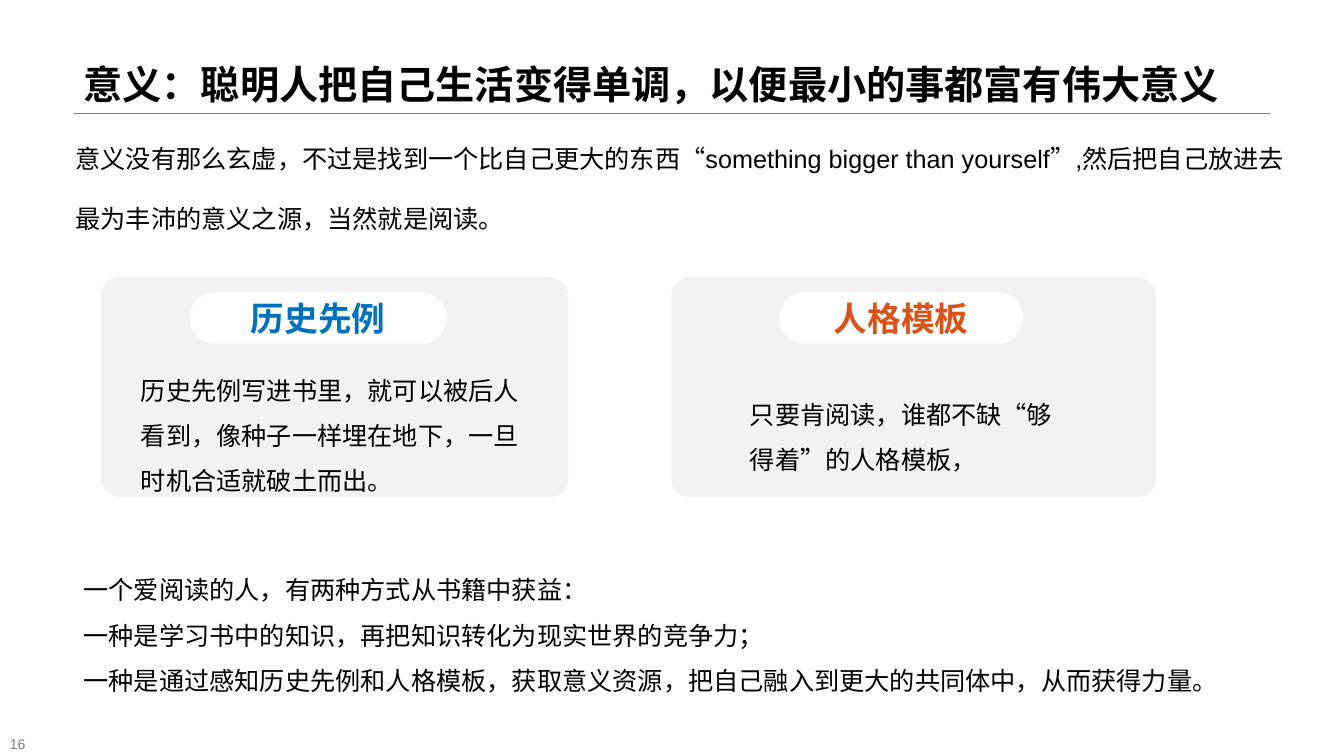
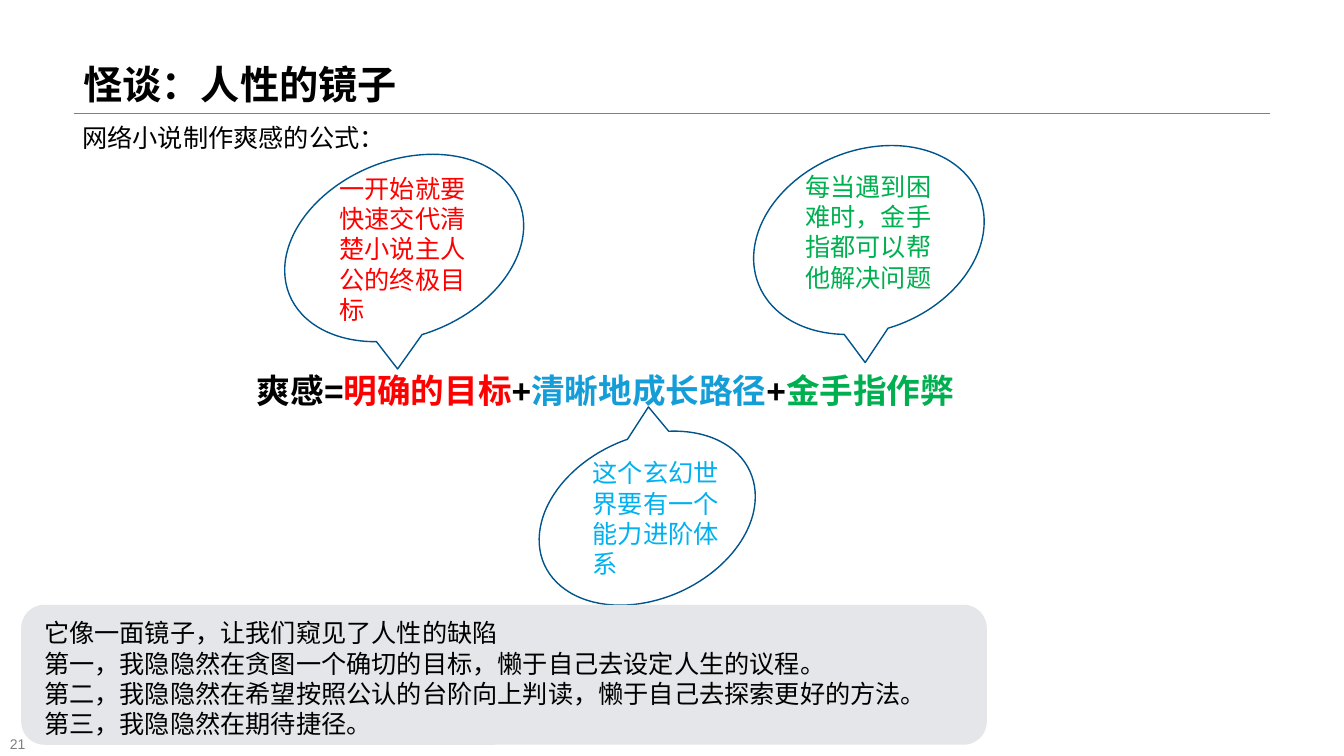
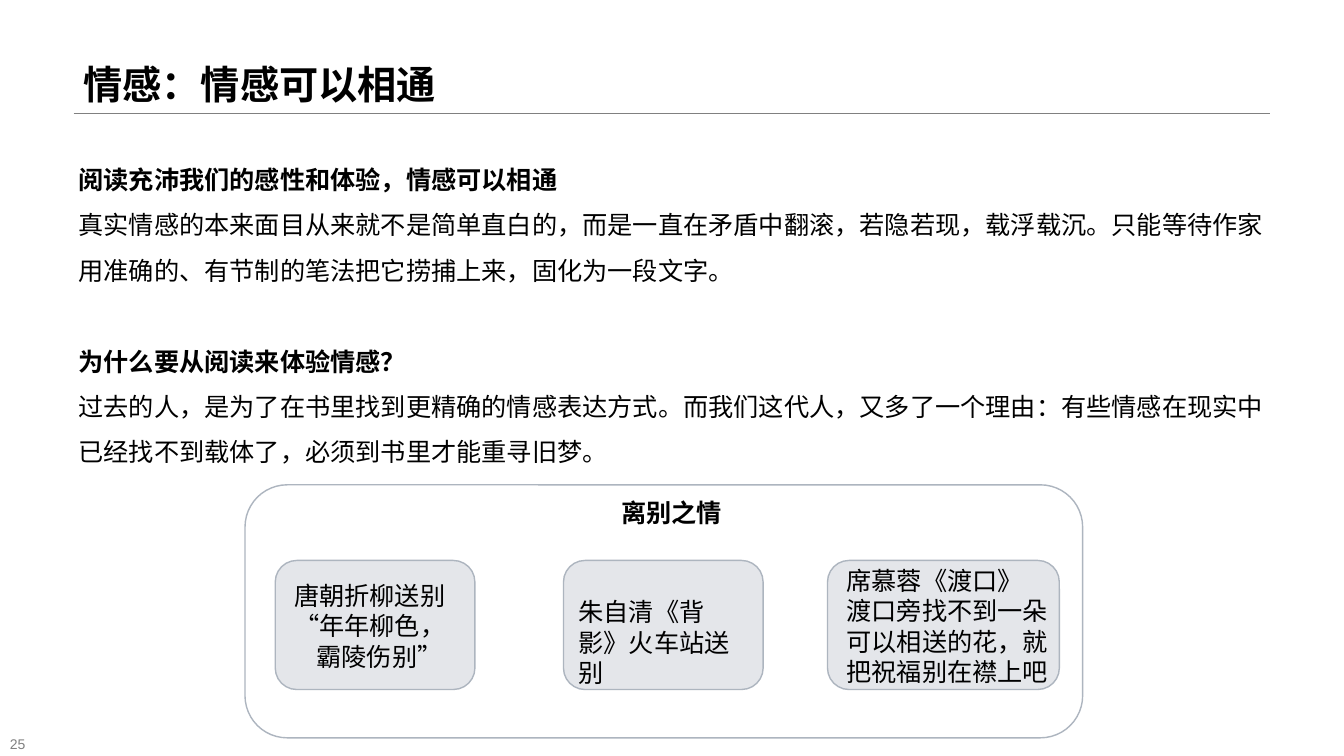
from dataclasses import dataclass
from pptx import Presentation
from pptx.dml.color import RGBColor
from pptx.enum.lang import MSO_LANGUAGE_ID
from pptx.enum.shapes import MSO_CONNECTOR, MSO_SHAPE
from pptx.enum.text import MSO_ANCHOR, PP_ALIGN
from pptx.util import Pt
from lxml import etree

ROUND = MSO_SHAPE.ROUNDED_RECTANGLE
CALLOUT = MSO_SHAPE.OVAL_CALLOUT
STRAIGHT = MSO_CONNECTOR.STRAIGHT
TOP, MIDDLE, BOTTOM = MSO_ANCHOR.TOP, MSO_ANCHOR.MIDDLE, MSO_ANCHOR.BOTTOM
LEFT, CENTER = PP_ALIGN.LEFT, PP_ALIGN.CENTER
CHINESE = MSO_LANGUAGE_ID.SIMPLIFIED_CHINESE
A = "http://schemas.openxmlformats.org/drawingml/2006/main"
FONT = "Arial"
C = {
    "black": "000000", "white": "FFFFFF", "gray": "808080", "card": "F2F2F2",
    "panel": "E4E6EA", "edge": "ADB5BF", "navy": "00548C", "blue": "0072BD",
    "orange": "D95319", "red": "FF0000", "path": "159DD8", "sky": "00B0F0",
    "green": "00B050",
}


@dataclass
class Para:
    runs: list
    bold: bool = False
    before: float = 0
    indent: float = 0


def plain(*lines):
    return [Para([(line, "black")]) for line in lines]


MEANING = {
    "title": "意义：聪明人把自己生活变得单调，以便最小的事都富有伟大意义",
    "number": "16",
    "intro": [
        Para([("意义没有那么玄虚，不过是找到一个比自己更大的东西“something bigger than yourself”,然后把自己放进去", "black")]),
        Para([("最为丰沛的意义之源，当然就是阅读。", "black")], before=21.5),
    ],
    "cards": [
        ("历史先例", "blue", (72, 334), (135.4, 183.6), (93.6, 253.4, 296.6, 101.5),
         "历史先例写进书里，就可以被后人看到，像种子一样埋在地下，一旦时机合适就破土而出。"),
        ("人格模板", "orange", (479.5, 346.3), (556.6, 174.2), (528.5, 270.7, 231, 69),
         "只要肯阅读，谁都不缺“够得着”的人格模板，"),
    ],
    "outro": plain(
        "一个爱阅读的人，有两种方式从书籍中获益：",
        "一种是学习书中的知识，再把知识转化为现实世界的竞争力；",
        "一种是通过感知历史先例和人格模板，获取意义资源，把自己融入到更大的共同体中，从而获得力量。"),
}
MIRROR = {
    "title": "怪谈：人性的镜子",
    "number": "21",
    "lead": plain("网络小说制作爽感的公式："),
    "formula": [Para([("爽感=", "black"), ("明确的目标", "red"), ("+", "black"),
                      ("清晰地成长路径", "path"), ("+", "black"), ("金手指作弊", "green")], True)],
    "callouts": [
        ("一开始就要快速交代清楚小说主人公的终极目标", "red",
         (200.2, 114.5, 177.1, 125.3), 337.9, (235.4, 120.2)),
        ("这个玄幻世界要有一个能力进阶体系", "sky",
         (381.6, 312.5, 161.3, 115.2), 155.6, (416.2, 323.3)),
        ("每当遇到困难时，金手指都可以帮他解决问题", "green",
         (535.7, 107.3, 169.9, 128.2), 337.9, (568.1, 118.8)),
    ],
    "flaws": plain(
        "它像一面镜子，让我们窥见了人性的缺陷",
        "第一，我隐隐然在贪图一个确切的目标，懒于自己去设定人生的议程。",
        "第二，我隐隐然在希望按照公认的台阶向上判读，懒于自己去探索更好的方法。",
        "第三，我隐隐然在期待捷径。"),
}
EMOTION = {
    "title": "情感：情感可以相通",
    "number": "25",
    "body": [
        Para([("阅读充沛我们的感性和体验，情感可以相通", "black")], True),
        Para([("真实情感的本来面目从来就不是简单直白的，而是一直在矛盾中翻滚，若隐若现，载浮载沉。只能等待作家用准确的、有节制的笔法把它捞捕上来，固化为一段文字。", "black")]),
        Para([("为什么要从阅读来体验情感？", "black")], True, before=32.5),
        Para([("过去的人，是为了在书里找到更精确的情感表达方式。而我们这代人，又多了一个理由：有些情感在现实中已经找不到载体了，必须到书里才能重寻旧梦。", "black")]),
    ],
    "heading": [Para([("离别之情", "black")], True)],
    "examples": [
        ((196.6, 142.6), (203, 411.1, 127),
         plain("唐朝折柳送别", "“年年柳色，") + [Para([("霸陵伤别”", "black")], indent=16)]),
        ((402.5, 142.6), (406.1, 422.6, 135.4), plain("朱自清《背影》火车站送别")),
        ((591.1, 165.6), (597.6, 400.3, 165.6),
         plain("席慕蓉《渡口》", "渡口旁找不到一朵可以相送的花，就把祝福别在襟上吧")),
    ],
}


def rgb(name):
    return RGBColor.from_string(C[name])


def write(sp, paras, size=18, align=LEFT, anchor=TOP, spacing=None):
    tf = sp.text_frame
    tf.word_wrap = True
    tf.vertical_anchor = anchor
    for i, para in enumerate(paras):
        p = tf.add_paragraph() if i else tf.paragraphs[0]
        p.alignment = align
        if spacing:
            p.line_spacing = spacing
        if para.before:
            p.space_before = Pt(para.before)
        if para.indent:
            p._p.get_or_add_pPr().set("marL", str(Pt(para.indent)))
        for words, color in para.runs:
            r = p.add_run()
            r.text = words
            r.font.name = FONT
            r.font.size = Pt(size)
            r.font.bold = para.bold
            r.font.color.rgb = rgb(color)
            r.font.language_id = CHINESE


def add_text(s, box, paras, **style):
    write(s.shapes.add_textbox(*map(Pt, box)), paras, **style)


def add_box(s, kind, box, fill=None, line=None, radius=None):
    sp = s.shapes.add_shape(kind, *map(Pt, box))
    sp.shadow.inherit = False
    if fill:
        sp.fill.solid()
        sp.fill.fore_color.rgb = rgb(fill)
    else:
        sp.fill.background()
    if line:
        sp.line.color.rgb = rgb(line)
        sp.line.width = Pt(1)
    else:
        sp.line.fill.background()
    if radius is not None:
        sp.adjustments[0] = radius
    return sp


def new_slide(prs, content):
    s = prs.slides.add_slide(prs.slide_layouts[6])
    rule = s.shapes.add_connector(STRAIGHT, Pt(52.6), Pt(80.8), Pt(907.2), Pt(80.8))
    rule.line.color.rgb = rgb("gray")
    rule.line.width = Pt(0.25)
    etree.SubElement(rule._element.spPr, f"{{{A}}}effectLst")
    add_text(s, (0, 523.4, 229, 16.6), [Para([(content["number"], "gray")])], size=10, anchor=MIDDLE)
    add_text(s, (52.6, 0, 854.6, 80.8), [Para([(content["title"], "black")], True)],
             size=28, anchor=BOTTOM, spacing=0.9)
    return s


def meaning_slide(prs):
    s = new_slide(prs, MEANING)
    add_text(s, (46.8, 98.6, 886.3, 72.7), MEANING["intro"])
    for name, color, (x, w), (pill_x, pill_w), body_box, body in MEANING["cards"]:
        add_box(s, ROUND, (x, 198, w, 157), "card", radius=0.085)
        pill = add_box(s, ROUND, (pill_x, 208.8, pill_w, 36.7), "white", radius=0.5)
        write(pill, [Para([(name, color)], True)], size=24, align=CENTER, anchor=MIDDLE)
        add_text(s, body_box, plain(body), spacing=1.5)
    add_text(s, (52.6, 396, 832.3, 101.5), MEANING["outro"], spacing=1.5)


def mirror_slide(prs):
    s = new_slide(prs, MIRROR)
    add_text(s, (51.8, 84.2, 232.6, 28.8), MIRROR["lead"])
    add_text(s, (176.4, 260.6, 517.7, 36), MIRROR["formula"], size=24)
    for words, color, box, turn, (x, y) in MIRROR["callouts"]:
        add_box(s, CALLOUT, box, line="navy").rotation = turn
        add_text(s, (x, y, 114.5, 94.3), [Para([(words, color)])])
    add_box(s, ROUND, (15.1, 432, 689.8, 100), "panel")
    add_text(s, (24.5, 437.7, 651, 95), MIRROR["flaws"])


def emotion_slide(prs):
    s = new_slide(prs, EMOTION)
    add_text(s, (49, 103, 862.6, 232.6), EMOTION["body"], spacing=1.5)
    add_box(s, ROUND, (175, 346.3, 598.3, 180.7), line="edge")
    add_text(s, (419.8, 351.4, 120, 28.8), EMOTION["heading"], align=CENTER)
    for (x, w), (text_x, text_y, text_w), paras in EMOTION["examples"]:
        add_box(s, ROUND, (x, 400.3, w, 92.2), "panel", "edge")
        add_text(s, (text_x, text_y, text_w, 72.7), paras)


def main():
    prs = Presentation()
    prs.slide_width, prs.slide_height = Pt(960), Pt(540)
    for build in (meaning_slide, mirror_slide, emotion_slide):
        build(prs)
    prs.save("out.pptx")


if __name__ == "__main__":
    main()
